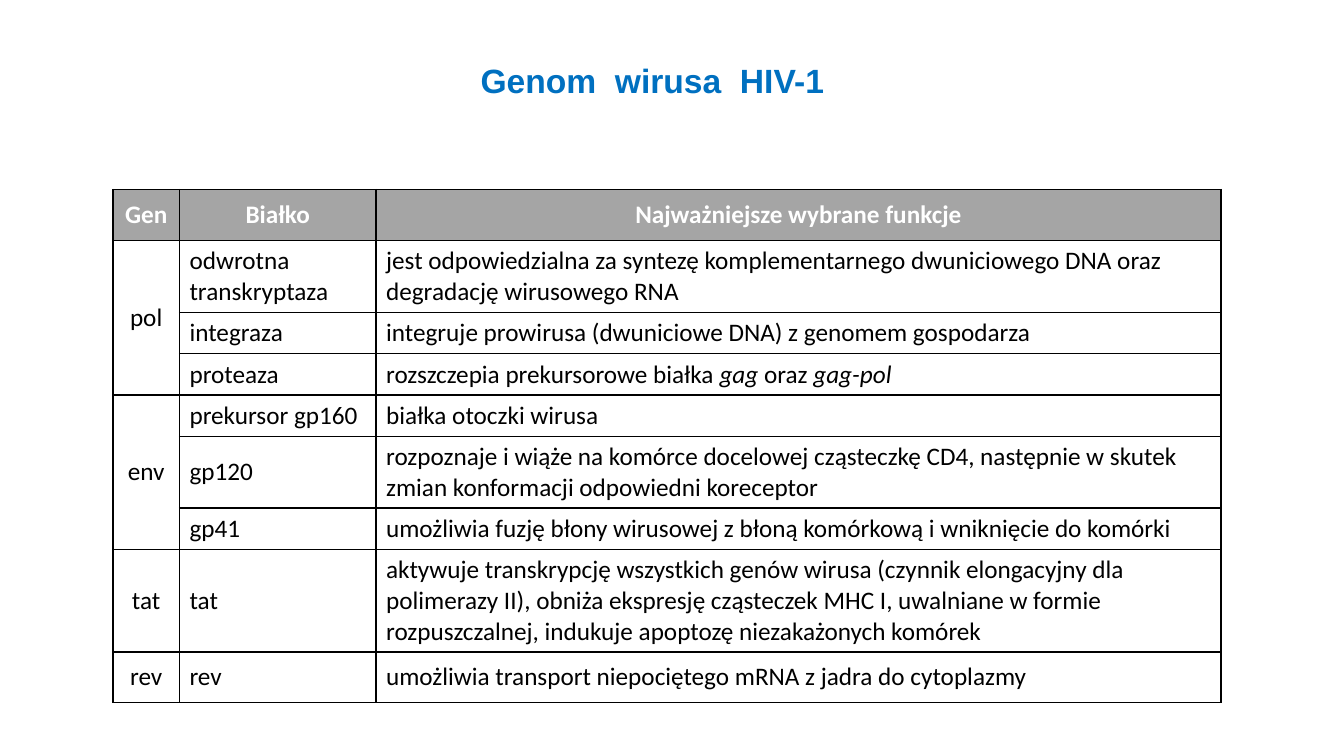
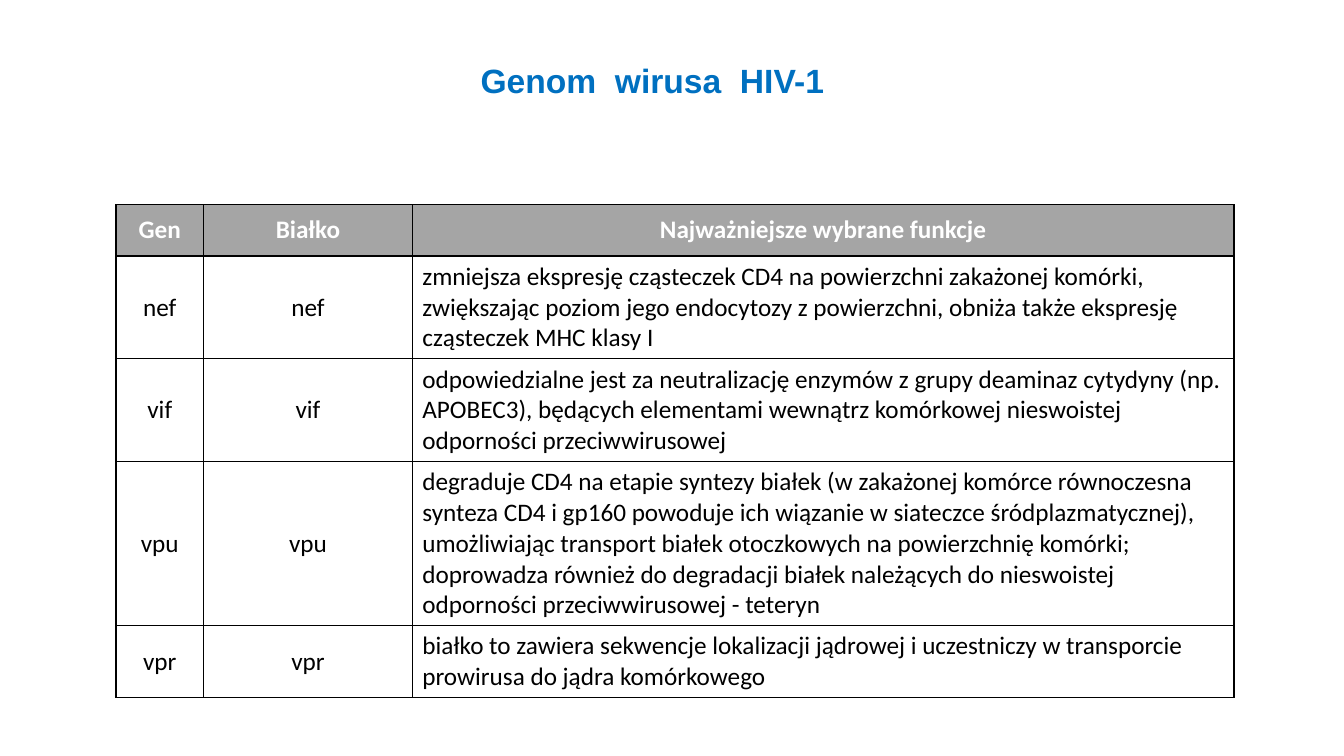
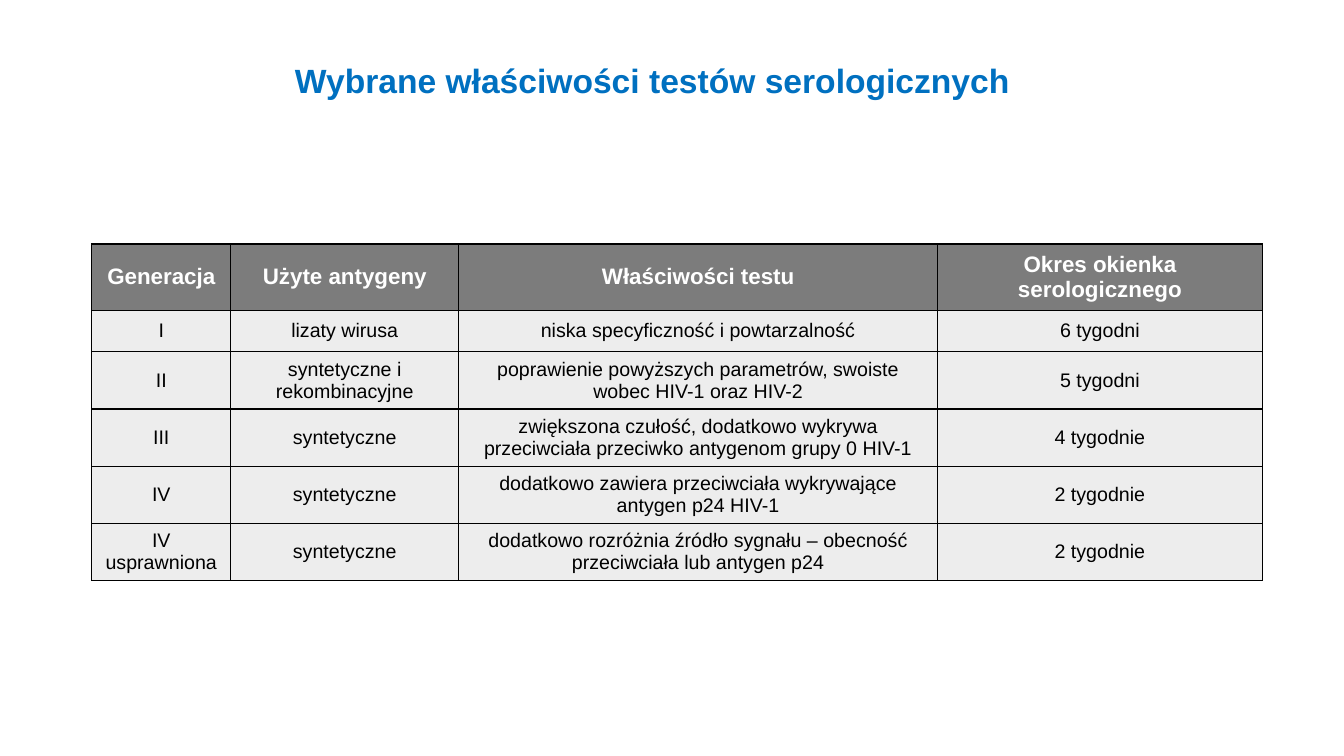
from dataclasses import dataclass

from lxml import etree
from pptx import Presentation
from pptx.dml.color import RGBColor
from pptx.enum.text import MSO_ANCHOR, MSO_AUTO_SIZE, PP_ALIGN
from pptx.oxml.ns import qn
from pptx.util import Inches, Pt

LEFT, CENTER = PP_ALIGN.LEFT, PP_ALIGN.CENTER
TOP, MIDDLE = MSO_ANCHOR.TOP, MSO_ANCHOR.MIDDLE
GROW = MSO_AUTO_SIZE.SHAPE_TO_FIT_TEXT
TITLE_ONLY = 5

COLORS = {
    "title": "0070C0",
    "white": "FFFFFF",
    "black": "000000",
    "gray": "A5A5A5",
    "dark_gray": "7C7C7C",
    "light_gray": "EDEDED",
}


@dataclass
class TableStyle:
    """Fonts and fills of one kind of table."""

    font: str
    head_size: int
    body_size: int
    head_fill: str
    body_fill: str


GENOME_STYLE = TableStyle("Calibri", 18, 18, "gray", "white")
TEST_STYLE = TableStyle("Arial", 16, 14, "dark_gray", "light_gray")

GENOME_TITLE = "Genom  wirusa  HIV-1"
GENOME_HEAD = ("Gen", "Białko", "Najważniejsze wybrane funkcje")

STRUCTURAL_GENES = [
    GENOME_HEAD,
    ("pol", "odwrotna transkryptaza",
     "jest odpowiedzialna za syntezę komplementarnego dwuniciowego DNA oraz "
     "degradację wirusowego RNA"),
    (None, "integraza", "integruje prowirusa (dwuniciowe DNA) z genomem gospodarza"),
    (None, "proteaza", "rozszczepia prekursorowe białka *gag* oraz *gag-pol*"),
    ("env", "prekursor gp160", "białka otoczki wirusa"),
    (None, "gp120",
     "rozpoznaje i wiąże na komórce docelowej cząsteczkę CD4, następnie w skutek "
     "zmian konformacji odpowiedni koreceptor"),
    (None, "gp41",
     "umożliwia fuzję błony wirusowej z błoną komórkową i wniknięcie do komórki"),
    ("tat", "tat",
     "aktywuje transkrypcję wszystkich genów wirusa (czynnik elongacyjny dla "
     "polimerazy II), obniża ekspresję cząsteczek MHC I, uwalniane w formie "
     "rozpuszczalnej, indukuje apoptozę niezakażonych komórek"),
    ("rev", "rev", "umożliwia transport niepociętego mRNA z jadra do cytoplazmy"),
]

ACCESSORY_GENES = [
    GENOME_HEAD,
    ("nef", "nef",
     "zmniejsza ekspresję cząsteczek CD4 na powierzchni zakażonej komórki, "
     "zwiększając poziom jego endocytozy z powierzchni, obniża także ekspresję "
     "cząsteczek MHC klasy I"),
    ("vif", "vif",
     "odpowiedzialne jest za neutralizację enzymów z grupy deaminaz cytydyny (np. "
     "APOBEC3), będących elementami wewnątrz komórkowej nieswoistej odporności "
     "przeciwwirusowej"),
    ("vpu", "vpu",
     "degraduje CD4 na etapie syntezy białek (w zakażonej komórce równoczesna "
     "synteza CD4 i gp160 powoduje ich wiązanie w siateczce śródplazmatycznej), "
     "umożliwiając transport białek otoczkowych na powierzchnię komórki; "
     "doprowadza również do degradacji białek należących do nieswoistej "
     "odporności przeciwwirusowej - teteryn"),
    ("vpr", "vpr",
     "białko to zawiera sekwencje lokalizacji jądrowej i uczestniczy w transporcie "
     "prowirusa do jądra komórkowego"),
]

SEROLOGICAL_TESTS = [
    ("Generacja", "Użyte antygeny", "Właściwości testu", "Okres okienka serologicznego"),
    ("I", "lizaty wirusa", "niska specyficzność i powtarzalność", "6 tygodni"),
    ("II", "syntetyczne i rekombinacyjne",
     "poprawienie powyższych parametrów, swoiste wobec HIV-1 oraz HIV-2", "5 tygodni"),
    ("III", "syntetyczne",
     "zwiększona czułość, dodatkowo wykrywa przeciwciała przeciwko antygenom grupy 0 HIV-1",
     "4 tygodnie"),
    ("IV", "syntetyczne",
     "dodatkowo zawiera przeciwciała wykrywające antygen p24 HIV-1", "2 tygodnie"),
    ("IV usprawniona", "syntetyczne",
     "dodatkowo rozróżnia źródło sygnału – obecność przeciwciała lub antygen p24",
     "2 tygodnie"),
]


def color(name):
    """Return the named colour."""
    return RGBColor.from_string(COLORS[name])


def set_font(font, name, size, color_name, bold):
    """Format a paragraph font."""
    font.name, font.size, font.bold = name, Pt(size), bold
    font.color.rgb = color(color_name)


def add_titled_page(deck, text):
    """Add a page with the shared title style."""
    page = deck.slides.add_slide(deck.slide_layouts[TITLE_ONLY])
    title = page.shapes.title
    title.left, title.top = Inches(1.67), Inches(0.54)
    title.width, title.height = Inches(9.6), Inches(0.5)
    frame = title.text_frame
    frame.text = text
    frame.vertical_anchor, frame.auto_size = TOP, GROW
    para = frame.paragraphs[0]
    para.alignment = CENTER
    set_font(para.font, "Arial", 24, "title", True)
    return page


def add_borders(cell):
    """Draw a thin black line on all four sides of a cell."""
    properties = cell._tc.get_or_add_tcPr()
    for side in ("lnL", "lnR", "lnT", "lnB"):
        line = etree.SubElement(properties, qn(f"a:{side}"), w=str(Pt(1)))
        fill = etree.SubElement(line, qn("a:solidFill"))
        etree.SubElement(fill, qn("a:srgbClr"), val=COLORS["black"])


def fill_cell(cell, text, style, is_head, alignment):
    """Format a cell and write its text, with italics between asterisks."""
    add_borders(cell)
    cell.fill.solid()
    cell.fill.fore_color.rgb = color(style.head_fill if is_head else style.body_fill)
    cell.vertical_anchor = MIDDLE
    para = cell.text_frame.paragraphs[0]
    para.alignment = alignment
    set_font(para.font, style.font, style.head_size if is_head else style.body_size,
             "white" if is_head else "black", is_head)
    for index, part in enumerate((text or "").split("*")):
        if part:
            span = para.add_run()
            span.text = part
            if index % 2:
                span.font.italic = True


def add_grid(page, left, top, widths, heights, rows, style, alignments):
    """Add a table, joining each None cell to the cell above it."""
    table = page.shapes.add_table(
        len(rows), len(widths), Inches(left), Inches(top),
        Inches(sum(widths)), Inches(sum(heights))).table
    table.first_row = table.horz_banding = False
    for column, width in zip(table.columns, widths):
        column.width = Inches(width)
    for row, height in zip(table.rows, heights):
        row.height = Inches(height)
    for row_index, texts in enumerate(rows):
        is_head = row_index == 0
        for column_index, text in enumerate(texts):
            alignment = CENTER if is_head else alignments[column_index]
            fill_cell(table.cell(row_index, column_index), text, style, is_head, alignment)
    merge_genes(table, rows)


def merge_genes(table, rows):
    """Merge the first-column cells that share one gene."""
    starts = [index for index, row in enumerate(rows) if row[0] is not None]
    for start, following in zip(starts, starts[1:] + [len(rows)]):
        if following - start > 1:
            table.cell(start, 0).merge(table.cell(following - 1, 0))


def main():
    """Build and save the deck."""
    deck = Presentation()
    deck.slide_width, deck.slide_height = Inches(13.33), Inches(7.5)

    page = add_titled_page(deck, GENOME_TITLE)
    add_grid(page, 1.12, 1.88, (0.66, 1.95, 8.38),
             (0.51, 0.71, 0.41, 0.41, 0.41, 0.71, 0.41, 1.02, 0.5),
             STRUCTURAL_GENES, GENOME_STYLE, (CENTER, LEFT, LEFT))

    page = add_titled_page(deck, GENOME_TITLE)
    add_grid(page, 1.15, 2.03, (0.87, 2.07, 8.15), (0.51, 1.02, 1.02, 1.63, 0.71),
             ACCESSORY_GENES, GENOME_STYLE, (CENTER, CENTER, LEFT))

    page = add_titled_page(deck, "Wybrane właściwości testów serologicznych")
    add_grid(page, 0.91, 2.42, (1.38, 2.26, 4.75, 3.22),
             (0.66, 0.41, 0.54, 0.54, 0.54, 0.57),
             SEROLOGICAL_TESTS, TEST_STYLE, (CENTER,) * 4)

    deck.save("out.pptx")


if __name__ == "__main__":
    main()
